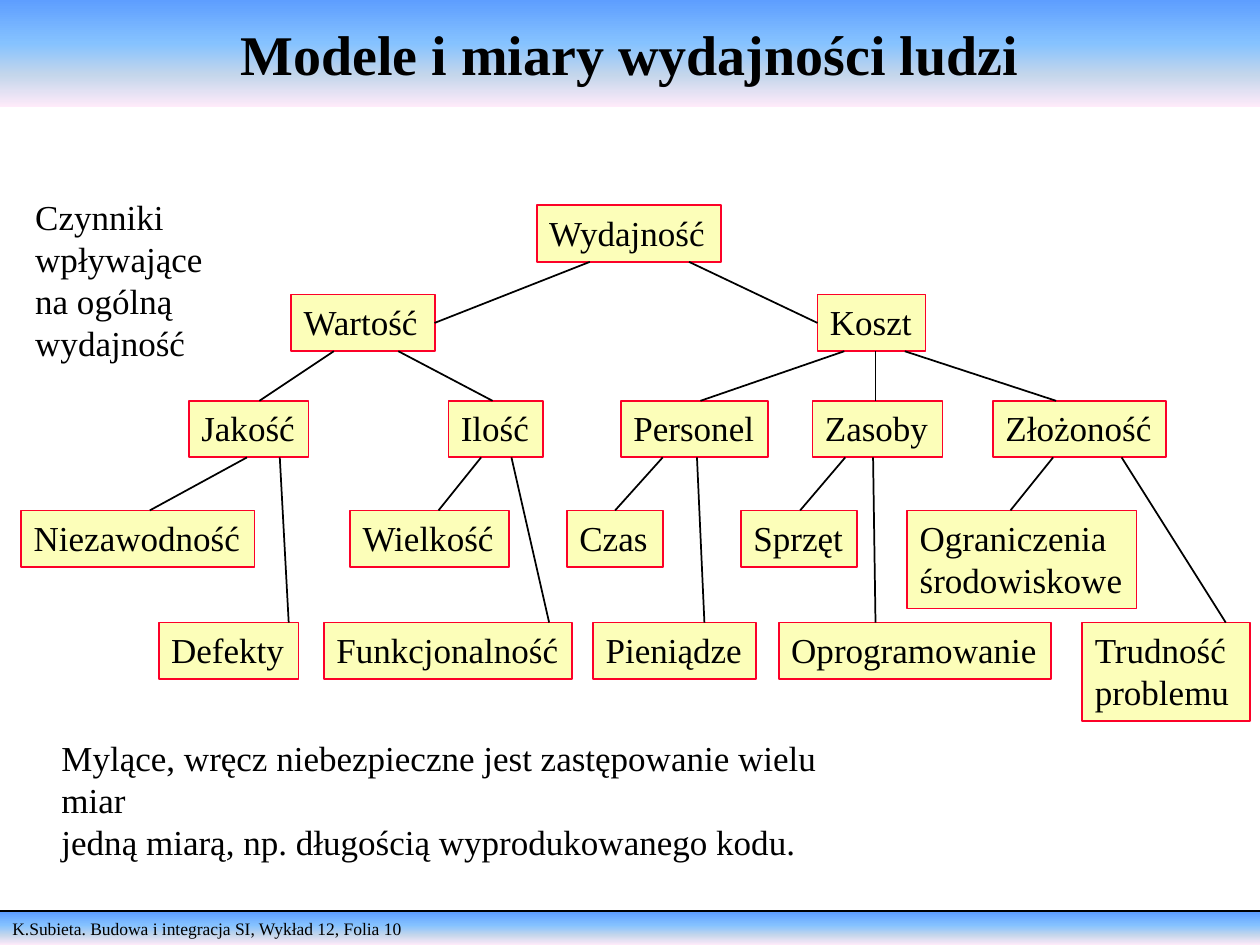
from copy import deepcopy
from pptx import Presentation, util as u
from pptx.dml.color import RGBColor
from pptx.enum import shapes, text
from pptx.oxml.ns import qn
from lxml import etree

BLACK = RGBColor(0, 0, 0)
CREAM = RGBColor(0xFC, 0xFE, 0xB9)
RED = RGBColor(0xFC, 0x01, 0x28)
BANDS = [
    (0, RGBColor(0x5E, 0x9E, 0xFF)),
    (0.4, RGBColor(0x85, 0xC2, 0xFF)),
    (0.7, RGBColor(0xC4, 0xD6, 0xEB)),
    (1, RGBColor(0xFF, 0xEB, 0xFA)),
]

deck = Presentation()
deck.slide_width, deck.slide_height = u.Cm(25.4), u.Cm(19.05)
slide = deck.slides.add_slide(deck.slide_layouts[5])
items = slide.shapes


def write(shape, words, size=20, bold=False, align=text.PP_ALIGN.LEFT,
          anchor=text.MSO_ANCHOR.TOP, wrap=True):
    frame = shape.text_frame
    frame.text = words
    frame.word_wrap = wrap
    frame.auto_size = text.MSO_AUTO_SIZE.NONE
    frame.vertical_anchor = anchor
    for para in frame.paragraphs:
        para.alignment = align
        font = para.font
        font.name, font.size, font.bold = "Times New Roman", u.Pt(size), bold
        font.color.rgb = BLACK


def rule(x1, y1, x2, y2):
    line = items.add_connector(
        shapes.MSO_CONNECTOR.STRAIGHT, u.Cm(x1), u.Cm(y1), u.Cm(x2), u.Cm(y2))
    line.line.color.rgb = BLACK
    line.line.width = u.Pt(1)
    etree.SubElement(line._element.spPr, qn("a:effectLst"))


title = items.title
title.left, title.top = u.Cm(0), u.Cm(0)
title.width, title.height = u.Cm(25.4), u.Cm(2.16)
write(title, "Modele i miary wydajności ludzi", size=32, bold=True,
      align=text.PP_ALIGN.CENTER, anchor=text.MSO_ANCHOR.MIDDLE)

foot = items.add_shape(shapes.MSO_SHAPE.RECTANGLE,
                       u.Cm(0), u.Cm(18.39), u.Cm(25.4), u.Cm(0.66))
foot.shadow.inherit = False
foot.line.fill.background()
write(foot, "K.Subieta. Budowa i integracja SI, Wykład 12, Folia 10",
      size=10, anchor=text.MSO_ANCHOR.MIDDLE)

for bar in (title, foot):
    bar.fill.gradient()
    bar.fill.gradient_angle = 270
    stops = bar._element.spPr.find(".//" + qn("a:gsLst"))
    for stop in list(stops):
        stops.append(deepcopy(stop))
    for stop, (place, tint) in zip(bar.fill.gradient_stops, BANDS):
        stop.position = place
        stop.color.rgb = tint

rule(0, 18.36, 25.4, 18.36)

TALL = 1.14
TOPS = [4.14, 5.94, 8.08, 10.29, 12.55]
ROWS = [
    [("Wydajność", 10.82, 3.71)],
    [("Wartość", 5.87, 2.9), ("Koszt", 16.48, 2.18)],
    [("Jakość", 3.81, 2.41), ("Ilość", 9.04, 1.91), ("Personel", 12.52, 2.97),
     ("Zasoby", 16.38, 2.62), ("Złożoność", 20.02, 3.48)],
    [("Niezawodność", 0.43, 4.7), ("Wielkość", 7.06, 3.2), ("Czas", 11.43, 1.93),
     ("Sprzęt", 14.94, 2.34), ("Ograniczenia\nśrodowiskowe", 18.29, 4.62)],
    [("Defekty", 3.2, 2.82), ("Funkcjonalność", 6.53, 5), ("Pieniądze", 11.96, 3.28),
     ("Oprogramowanie", 15.7, 5.49), ("Trudność\nproblemu", 21.82, 3.38)],
]
for top, row in zip(TOPS, ROWS):
    for words, left, wide in row:
        high = TALL + 0.84 * words.count("\n")
        box = items.add_shape(shapes.MSO_SHAPE.RECTANGLE,
                              u.Cm(left), u.Cm(top), u.Cm(wide), u.Cm(high))
        box.shadow.inherit = False
        box.fill.solid()
        box.fill.fore_color.rgb = CREAM
        box.line.color.rgb = RED
        box.line.width = u.Pt(1)
        write(box, words, wrap=False)

LINKS = [
    (0, 1, [(11.89, 8.76), (13.89, 16.48)]),
    (1, 2, [(6.73, 5.23), (8.03, 9.93), (17.02, 14.12), (17.65, 17.65),
            (18.24, 21.29)]),
    (2, 3, [(4.98, 3.02), (9.7, 8.84), (13.36, 12.4), (17.04, 16.13),
            (21.23, 20.37)]),
    (2, 4, [(5.64, 5.82), (10.31, 11.07), (14.05, 14.2), (17.6, 17.65),
            (22.61, 24.71)]),
]
for start, end, pairs in LINKS:
    drop = TALL / 2 if start == 0 else 0
    for x1, x2 in pairs:
        rule(x1, TOPS[start] + TALL, x2, TOPS[end] + drop)

NOTES = [
    ("Czynniki\nwpływające\nna ogólną\nwydajność", 0.46, 3.81, 4.06, 3.63, False),
    ("Mylące, wręcz niebezpieczne jest zastępowanie wielu miar\n"
     "jedną miarą, np. długością wyprodukowanego kodu.", 0.99, 14.73, 17.17, 1.96, True),
]
for words, left, top, wide, high, wrap in NOTES:
    note = items.add_textbox(u.Cm(left), u.Cm(top), u.Cm(wide), u.Cm(high))
    write(note, words, wrap=wrap)

deck.save("out.pptx")
